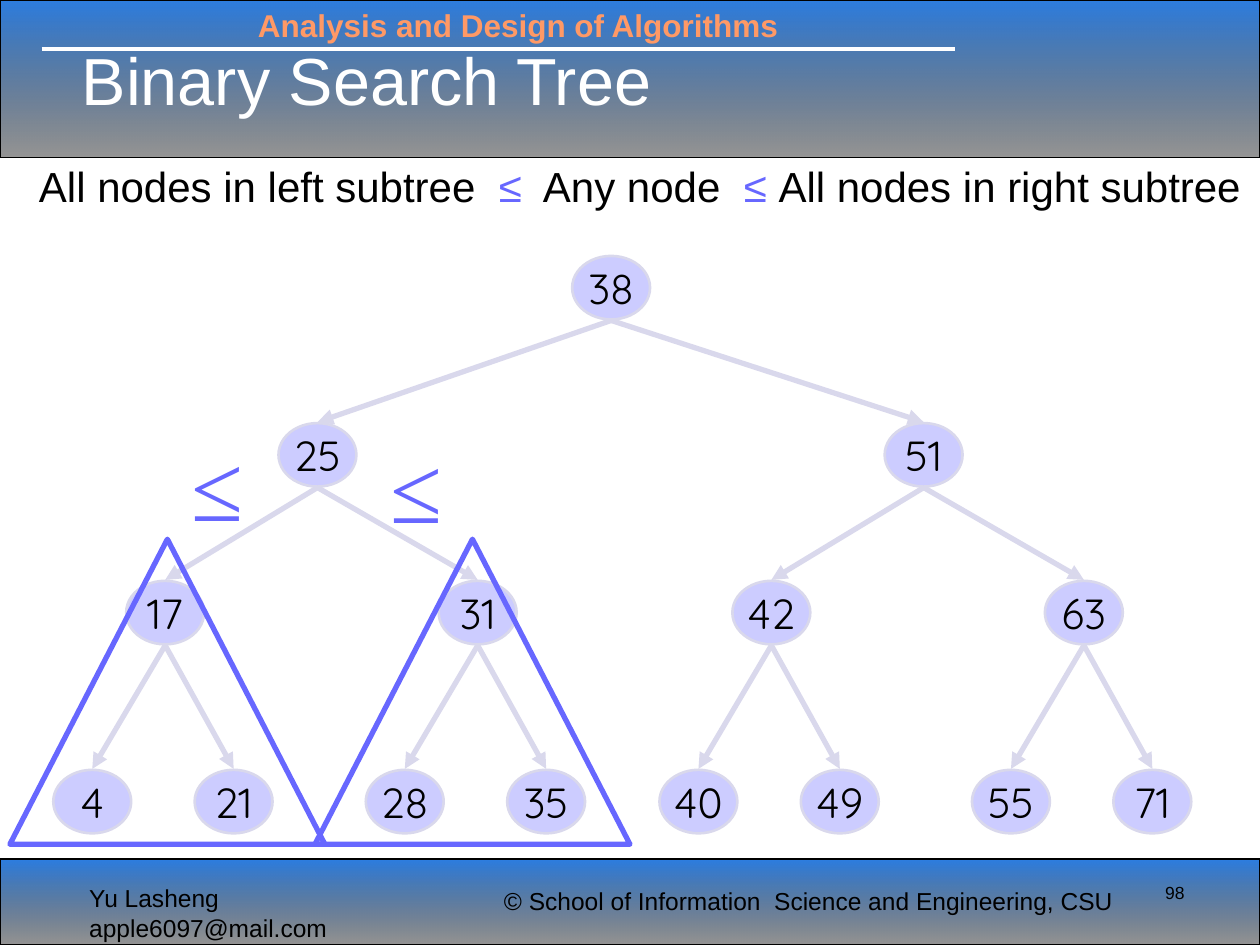
import pptx
import pptx.util
import pptx.dml.color
import pptx.enum.shapes
import pptx.enum.text
import pptx.oxml
import pptx.oxml.ns
import lxml.etree

Cm = pptx.util.Cm
Pt = pptx.util.Pt
RGBColor = pptx.dml.color.RGBColor
SHAPE = pptx.enum.shapes.MSO_SHAPE
ALIGN = pptx.enum.text.PP_ALIGN
ANCHOR = pptx.enum.text.MSO_ANCHOR
qn = pptx.oxml.ns.qn

BLACK = RGBColor(0x00, 0x00, 0x00)
WHITE = RGBColor(0xFF, 0xFF, 0xFF)
BAND_BLUE = RGBColor(0x0E, 0x6B, 0xDC)
ORANGE = RGBColor(0xFF, 0x99, 0x66)
NODE_FILL = RGBColor(0xCC, 0xCC, 0xFF)
EDGE = RGBColor(0xD9, 0xD8, 0xEC)
VIOLET = RGBColor(0x67, 0x67, 0xFF)

deck = pptx.Presentation()
deck.slide_width, deck.slide_height = Cm(25.4), Cm(19.05)
page = deck.slides.add_slide(deck.slide_layouts[6])


def add_text(left, top, width, height, text, size, color, font="Arial", wrap=True):
    box = page.shapes.add_textbox(Cm(left), Cm(top), Cm(width), Cm(height))
    box.text_frame.word_wrap = wrap
    para = box.text_frame.paragraphs[0]
    para.text = text
    para.font.size = Pt(size)
    para.font.name = font
    para.font.color.rgb = color
    return box


def add_line(x1, y1, x2, y2, color, width, arrow=False):
    line = page.shapes.add_connector(
        pptx.enum.shapes.MSO_CONNECTOR.STRAIGHT, Cm(x1), Cm(y1), Cm(x2), Cm(y2))
    line.line.color.rgb = color
    line.line.width = Pt(width)
    if arrow:
        tail = lxml.etree.SubElement(line.line._get_or_add_ln(), qn("a:tailEnd"))
        tail.set("type", "triangle")
    lxml.etree.SubElement(line._element.spPr, qn("a:effectLst"))


# Header and footer bands
for top, height in ((0, 3.18), (17.32, 1.73)):
    band = page.shapes.add_shape(SHAPE.RECTANGLE, 0, Cm(top), Cm(25.4), Cm(height))
    band.shadow.inherit = False
    band.fill.gradient()
    band.fill.gradient_angle = 270
    stops = band.fill.gradient_stops
    for stop, color, position in zip(stops, (BAND_BLUE, BLACK), (0, 1)):
        stop.color.rgb = color
        stop.position = position
    for color, opacity in zip(band._element.spPr.iter(qn("a:srgbClr")), (88, 41)):
        alpha = lxml.etree.SubElement(color, qn("a:alpha"))
        alpha.set("val", str(opacity * 1000))
    band.line.color.rgb = BLACK
    band.line.width = Pt(0.75)

# Header and footer text
add_line(0.84, 0.99, 19.25, 0.99, WHITE, 2.25)
course = add_text(4.95, 0, 12.7, 1.02, "Analysis and Design of Algorithms", 18, ORANGE)
course.text_frame.paragraphs[0].font.bold = True
add_text(1.55, 17.68, 8.15, 1.45, "Yu Lasheng  apple6097@mail.com", 14, BLACK, wrap=False)
add_text(9.91, 17.73, 13.41, 0.86,
         "© School of Information  Science and Engineering, CSU", 14, BLACK)
number = add_text(21.89, 17.65, 2.24, 1.27, "98", 10, BLACK)
number.text_frame.paragraphs[0].alignment = ALIGN.RIGHT

# Tree: each level has a top, child offsets from the parent, and its keys
NODE_WIDTH, NODE_HEIGHT = 1.57, 1.28
levels = [
    (5.16, (0,), (38,)),
    (8.53, (-5.92, 6.3), (25, 51)),
    (11.71, (-3.07, 3.23), (17, 31, 42, 63)),
    (15.52, (-1.47, 1.38), (4, 21, 28, 35, 40, 49, 55, 71)),
]
parents, parent_bottom = [12.32], None
for top, offsets, keys in levels:
    links = [(parent, parent + offset) for parent in parents for offset in offsets]
    for (parent, center), key in zip(links, keys):
        node = page.shapes.add_shape(SHAPE.OVAL, Cm(center - NODE_WIDTH / 2), Cm(top),
                                     Cm(NODE_WIDTH), Cm(NODE_HEIGHT))
        node.shadow.inherit = False
        node.fill.solid()
        node.fill.fore_color.rgb = NODE_FILL
        node.line.color.rgb = EDGE
        node.line.width = Pt(1.5)
        node.text_frame.word_wrap = False
        node.text_frame.vertical_anchor = ANCHOR.MIDDLE
        para = node.text_frame.paragraphs[0]
        para.text = str(key)
        para.alignment = ALIGN.CENTER
        para.font.size = Pt(24)
        para.font.name = "Quicksand"
        para.font.color.rgb = BLACK
        if parent_bottom is not None:
            add_line(parent, parent_bottom, center, top - 0.02, EDGE, 3, arrow=True)
    parents = [center for parent, center in links]
    parent_bottom = top + NODE_HEIGHT + 0.02

# Title
title = add_text(1.4, 0, 21.59, 3.18, "Binary Search Tree", 38, WHITE)
title.text_frame.vertical_anchor = ANCHOR.MIDDLE

# Ordering rule
rule = add_text(0.2, 3.12, 25.4, 2.18, "", 24, BLACK)
para = rule.text_frame.paragraphs[0]
para.alignment = ALIGN.CENTER
for text, color in (("All nodes in left subtree  ", BLACK), ("≤ ", VIOLET),
                    (" Any node  ", BLACK), ("≤ ", VIOLET),
                    ("All nodes in right subtree", BLACK)):
    span = para.add_run()
    span.text = text
    span.font.size = Pt(24)
    span.font.name = "Arial"
    span.font.color.rgb = color

# Subtree outlines
for left in (0.2, 6.35):
    subtree = page.shapes.add_shape(SHAPE.ISOSCELES_TRIANGLE, Cm(left), Cm(10.87),
                                    Cm(6.35), Cm(6.15))
    subtree.shadow.inherit = False
    subtree.fill.background()
    subtree.line.color.rgb = VIOLET
    subtree.line.width = Pt(3)

# Comparison signs
for left, top in ((3.61, 8.48), (7.62, 8.53)):
    add_text(left, top, 1.55, 2.54, "≤", 54, VIOLET, "Times New Roman", wrap=False)

deck.save("out.pptx")
